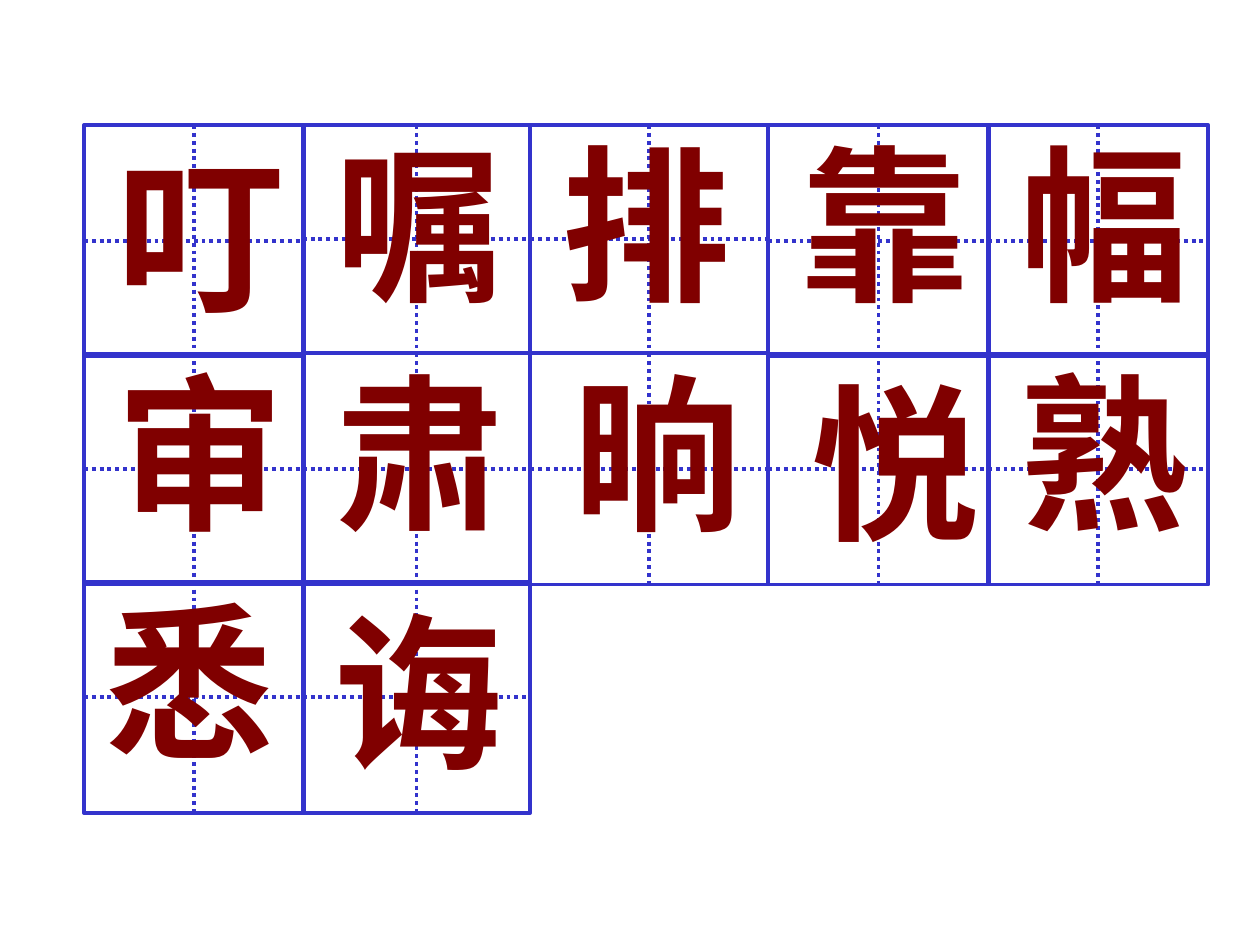
from lxml.etree import SubElement
from pptx import Presentation
from pptx.dml.color import RGBColor
from pptx.enum.dml import MSO_LINE
from pptx.enum.lang import MSO_LANGUAGE_ID
from pptx.enum.shapes import MSO_CONNECTOR, MSO_SHAPE
from pptx.enum.text import MSO_AUTO_SIZE
from pptx.oxml.ns import qn
from pptx.util import Pt

COLORS = {"grid": "3333CC", "character": "800000"}
ROWS = ["叮嘱排靠幅", "审肃晌悦熟", "悉诲"]
COLUMN_LEFTS = [48, 173, 303, 439, 564.5]
COLUMN_WIDTHS = [126, 130, 136, 126, 126]
ROW_TOP, ROW_PITCH, CELL_HEIGHT = 71.5, 130.5, 132
INSET_X, INSET_Y = 11.5, -6
NUDGES = {"叮": (0, 6), "晌": (6, 0), "悦": (6, 6), "悉": (-6, 0), "诲": (0, 6)}


def style_line(line):
    line.color.rgb = RGBColor.from_string(COLORS["grid"])
    line.width = Pt(2.25)


prs = Presentation()
prs.slide_width, prs.slide_height = Pt(720), Pt(540)
slide = prs.slides.add_slide(prs.slide_layouts[6])

cells = [
    (character, row, column)
    for row, characters in enumerate(ROWS)
    for column, character in enumerate(characters)
]

# Practice squares with dotted centre lines
for character, row, column in cells:
    height = ROW_PITCH if character in "嘱排" else CELL_HEIGHT
    square = slide.shapes.add_group_shape()
    frame = square.shapes.add_shape(
        MSO_SHAPE.RECTANGLE,
        Pt(COLUMN_LEFTS[column]), Pt(ROW_TOP + row * ROW_PITCH),
        Pt(COLUMN_WIDTHS[column]), Pt(height),
    )
    frame.shadow.inherit = False
    frame.fill.background()
    style_line(frame.line)
    for start_side, end_side in [(0, 2), (1, 3)]:
        guide = square.shapes.add_connector(MSO_CONNECTOR.STRAIGHT, 0, 0, 0, 0)
        guide.begin_connect(frame, start_side)
        guide.end_connect(frame, end_side)
        style_line(guide.line)
        guide.line.dash_style = MSO_LINE.ROUND_DOT
        SubElement(guide.element.spPr, qn("a:effectLst"))

# Characters
for character, row, column in cells:
    nudge_x, nudge_y = NUDGES.get(character, (0, 0))
    label = slide.shapes.add_textbox(
        Pt(COLUMN_LEFTS[column] + INSET_X + nudge_x),
        Pt(ROW_TOP + row * ROW_PITCH + INSET_Y + nudge_y),
        Pt(108), Pt(122.4),
    )
    label.text_frame.word_wrap = True
    label.text_frame.auto_size = MSO_AUTO_SIZE.SHAPE_TO_FIT_TEXT
    run = label.text_frame.paragraphs[0].add_run()
    run.text = character
    run.font.name = "Times New Roman"
    run.font.size = Pt(96)
    run.font.bold = True
    run.font.language_id = MSO_LANGUAGE_ID.SIMPLIFIED_CHINESE
    run.font.color.rgb = RGBColor.from_string(COLORS["character"])

prs.save("out.pptx")
